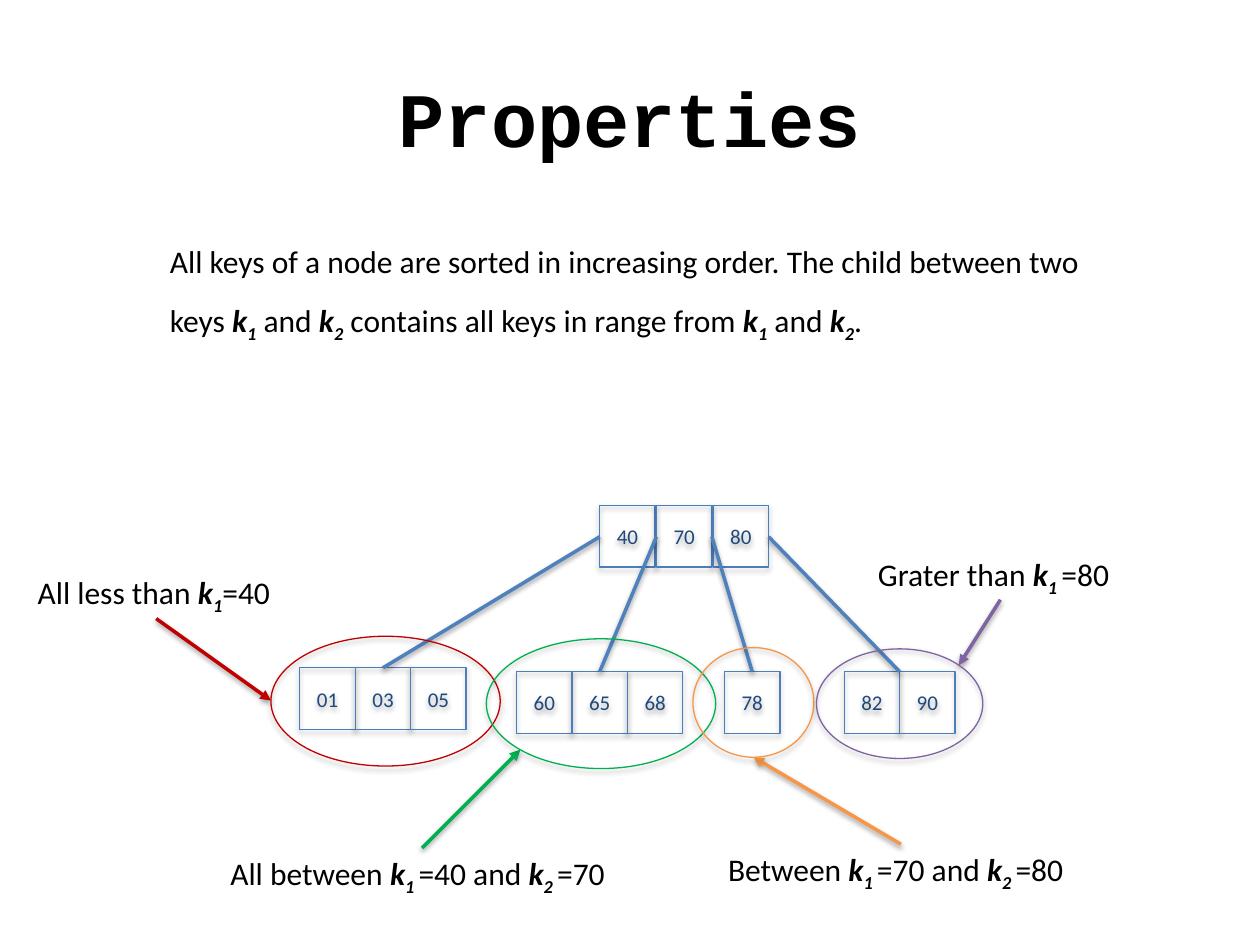
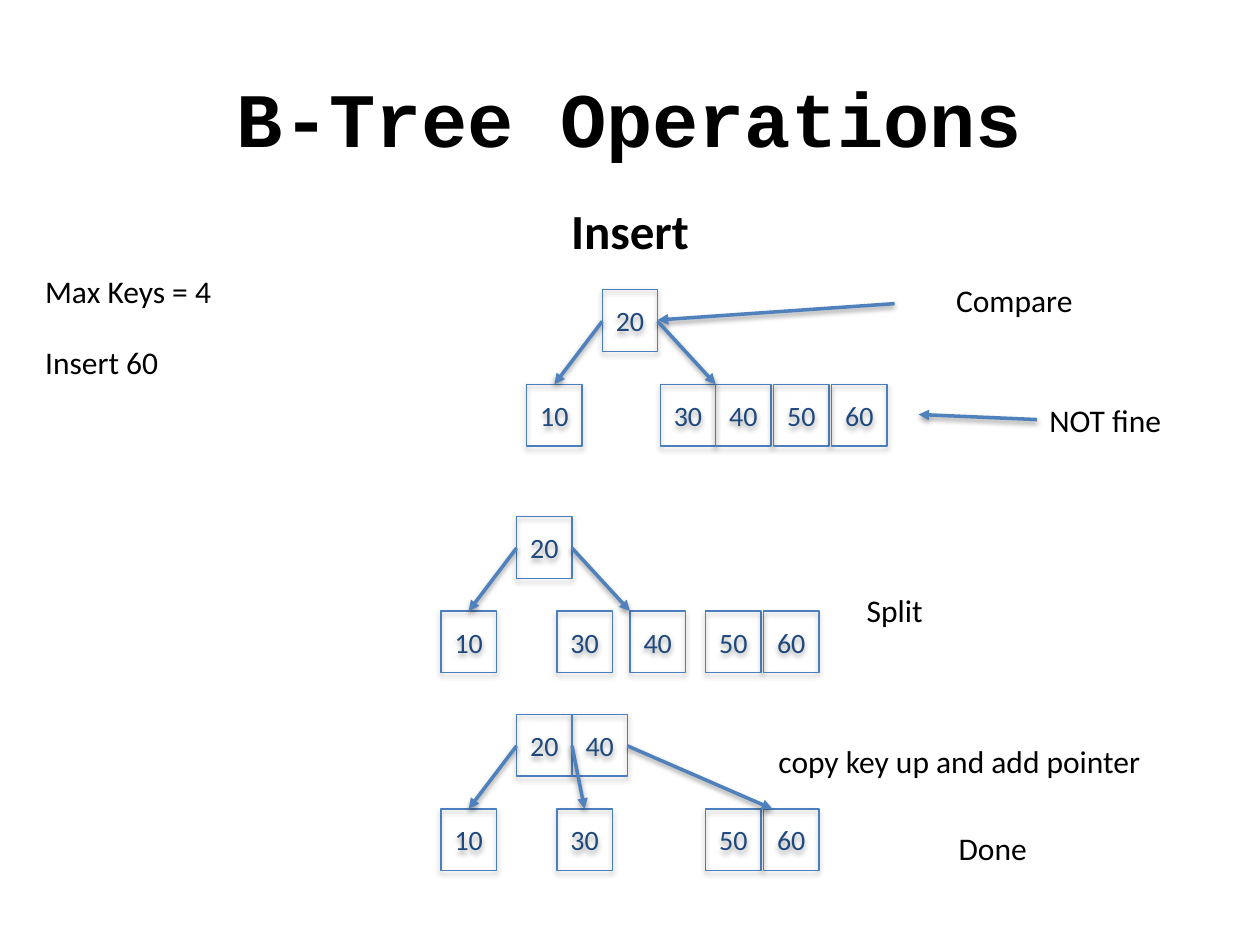
from itertools import cycle

from lxml import etree
from pptx import Presentation
from pptx.dml.color import RGBColor
from pptx.enum.shapes import MSO_CONNECTOR, MSO_SHAPE
from pptx.enum.text import MSO_ANCHOR, PP_ALIGN
from pptx.oxml.ns import qn
from pptx.util import Inches, Pt

RECT, OVAL = MSO_SHAPE.RECTANGLE, MSO_SHAPE.OVAL
STRAIGHT = MSO_CONNECTOR.STRAIGHT
MIDDLE, TOP = MSO_ANCHOR.MIDDLE, MSO_ANCHOR.TOP
CENTER, LEFT = PP_ALIGN.CENTER, PP_ALIGN.LEFT

COLORS = {
    "text": "000000",
    "key": "1F497D",
    "cell": "4B7EBC",
    "link": "4F81BD",
    "red": "C00000",
    "green": "00B050",
    "orange": "F79646",
    "purple": "8064A2",
}
BODY_FONT, TITLE_FONT = "Calibri", "Courier New"
CELL_W, CELL_H = 0.44, 0.49


def write(sp, text, size=18, font=BODY_FONT, color="text", bold=False,
          align=LEFT, anchor=TOP, wrap=False):
    """Write text whose parts, split at |, cycle plain, key name, subscript."""
    tf = sp.text_frame
    tf.word_wrap = wrap
    tf.vertical_anchor = anchor
    p = tf.paragraphs[0]
    p.alignment = align
    for part, style in zip(text.split("|"), cycle(["plain", "name", "sub"])):
        r = p.add_run()
        r.text = part
        r.font.name = font
        r.font.size = Pt(size)
        r.font.color.rgb = RGBColor.from_string(COLORS[color])
        r.font.bold = bold or style != "plain"
        r.font.italic = style != "plain"
        if style == "sub":
            r.font._element.set("baseline", "-25000")
    return p


def outline(sp, color, width, alpha, dist, arrow=False):
    """Set the line, an optional arrowhead and a soft shadow below."""
    sp.line.color.rgb = RGBColor.from_string(COLORS[color])
    sp.line.width = Pt(width)
    sppr = sp._element.spPr
    if arrow:
        ln = sppr.find(qn("a:ln"))
        etree.SubElement(ln, qn("a:tailEnd"), type="triangle")
    effects = etree.SubElement(sppr, qn("a:effectLst"))
    shadow = etree.SubElement(effects, qn("a:outerShdw"), blurRad=str(Pt(3.1)),
                              dist=str(Pt(dist)), dir="5400000", rotWithShape="0")
    clr = etree.SubElement(shadow, qn("a:srgbClr"), val=COLORS["text"])
    etree.SubElement(clr, qn("a:alpha"), val=str(alpha * 1000))


# Properties: nodes are (x, y, cell pitch, keys)
property_nodes = [
    (4.76, 4.01, 0.45, ["40", "70", "80"]),
    (2.38, 5.3, CELL_W, ["01", "03", "05"]),
    (4.1, 5.33, CELL_W, ["60", "65", "68"]),
    (5.75, 5.33, CELL_W, ["78"]),
    (6.7, 5.33, CELL_W, ["82", "90"]),
]
# Lines are (x1, y1, x2, y2, color, arrow)
property_lines = [
    (4.76, 4.26, 3.04, 5.3, "link", False),
    (5.21, 4.26, 4.76, 5.33, "link", False),
    (5.65, 4.26, 5.97, 5.33, "link", False),
    (6.1, 4.26, 7.14, 5.33, "link", False),
    (1.24, 4.91, 2.15, 5.56, "red", True),
    (3.35, 6.73, 4.13, 5.95, "green", True),
    (7.15, 6.7, 5.98, 6.01, "orange", True),
    (7.94, 4.76, 7.61, 5.28, "purple", True),
]
range_ovals = [
    (2.15, 5.05, 1.82, 1.03, "red"),
    (3.86, 5.07, 1.82, 1.03, "green"),
    (5.5, 5.14, 0.96, 0.87, "orange"),
    (6.48, 5.15, 1.32, 0.87, "purple"),
]
# Labels are (x, y, width, text)
property_labels = [
    (0.2, 4.5, 2.08, "All less than |k|1|=40"),
    (1.73, 6.73, 3.24, "All between |k|1 |=40 and |k|2 |=70"),
    (5.68, 6.7, 2.93, "Between |k|1 |=70 and |k|2 |=80"),
    (6.87, 4.36, 2.13, "Grater than |k|1 |=80"),
]

# Insert: each step is a root position, root keys, leaves as (offset, key)
# and pointers as (start offset, end offset)
insert_steps = [
    (4.78, 2.3, ["20"],
     [(-0.6, "10"), (0.46, "30"), (0.9, "40"), (1.36, "50"), (1.82, "60")],
     [(0, -0.38), (0.44, 0.9)]),
    (4.1, 4.1, ["20"],
     [(-0.6, "10"), (0.32, "30"), (0.9, "40"), (1.5, "50"), (1.96, "60")],
     [(0, -0.38), (0.44, 0.9)]),
    (4.1, 5.67, ["20", "40"],
     [(-0.6, "10"), (0.32, "30"), (1.5, "50"), (1.96, "60")],
     [(0, -0.38), (0.44, 0.54), (0.88, 2.03)]),
]
insert_nodes = []
insert_lines = [
    (7.1, 2.41, 5.22, 2.54, "link", True),
    (8.23, 3.33, 7.29, 3.29, "link", True),
]
for x, y, root_keys, leaves, pointers in insert_steps:
    insert_nodes.append((x, y, CELL_W, root_keys))
    for dx, key in leaves:
        insert_nodes.append((x + dx, y + 0.75, CELL_W, [key]))
    for start, end in pointers:
        insert_lines.append((x + start, y + 0.25, x + end, y + 0.75, "link", True))
insert_labels = [
    (0.26, 2.11, 1.53, "Max Keys = 4"),
    (0.26, 2.67, 1.11, "Insert 60"),
    (7.49, 2.18, 1.14, "Compare"),
    (8.23, 3.13, 1.1, "NOT fine"),
    (6.78, 4.64, 0.65, "Split"),
    (6.08, 5.84, 3.11, "copy key up and add pointer"),
    (7.51, 6.53, 0.75, "Done"),
]

prs = Presentation()
prs.slide_width, prs.slide_height = Inches(10), Inches(7.5)

slides = [
    ("Properties", 12, property_nodes, property_lines, range_ovals, property_labels),
    ("B-Tree Operations", 16, insert_nodes, insert_lines, [], insert_labels),
]
for title, key_size, nodes, lines, ovals, labels in slides:
    s = prs.slides.add_slide(prs.slide_layouts[6])

    # Title
    sp = s.shapes.add_textbox(Inches(0.5), Inches(0.3), Inches(9), Inches(1.25))
    write(sp, title, 44, TITLE_FONT, bold=True, align=CENTER, anchor=MIDDLE, wrap=True)

    # Node cells
    for x, y, pitch, keys in nodes:
        for i, key in enumerate(keys):
            sp = s.shapes.add_shape(RECT, Inches(x + i * pitch), Inches(y),
                                    Inches(CELL_W), Inches(CELL_H))
            sp.fill.background()
            outline(sp, "cell", 0.75, 35, 1.8)
            tf = sp.text_frame
            tf.margin_left = tf.margin_right = 0
            write(sp, key, key_size, color="key", align=CENTER, anchor=MIDDLE)

    # Links and arrows
    for x1, y1, x2, y2, color, arrow in lines:
        sp = s.shapes.add_connector(STRAIGHT, Inches(x1), Inches(y1),
                                    Inches(x2), Inches(y2))
        outline(sp, color, 2, 38, 1.6, arrow)

    # Ovals around the key ranges
    for x, y, w, h, color in ovals:
        sp = s.shapes.add_shape(OVAL, Inches(x), Inches(y), Inches(w), Inches(h))
        sp.fill.background()
        outline(sp, color, 0.75, 35, 1.8)

    # Labels
    for x, y, w, text in labels:
        sp = s.shapes.add_textbox(Inches(x), Inches(y), Inches(w), Inches(0.4))
        write(sp, text)

# Rule on the first slide
sp = prs.slides[0].shapes.add_textbox(Inches(1.25), Inches(1.72), Inches(7.49), Inches(1.77))
p = write(sp, "All keys of a node are sorted in increasing order. The child between two keys "
              "|k|1| and |k|2| contains all keys in range from |k|1| and |k|2|.", wrap=True)
p.line_spacing = 1.5

# Subtitle on the second slide
sp = prs.slides[1].shapes.add_textbox(Inches(4.02), Inches(1.54), Inches(1.96), Inches(0.57))
write(sp, "Insert", 28, bold=True, align=CENTER, wrap=True)

prs.save("out.pptx")
